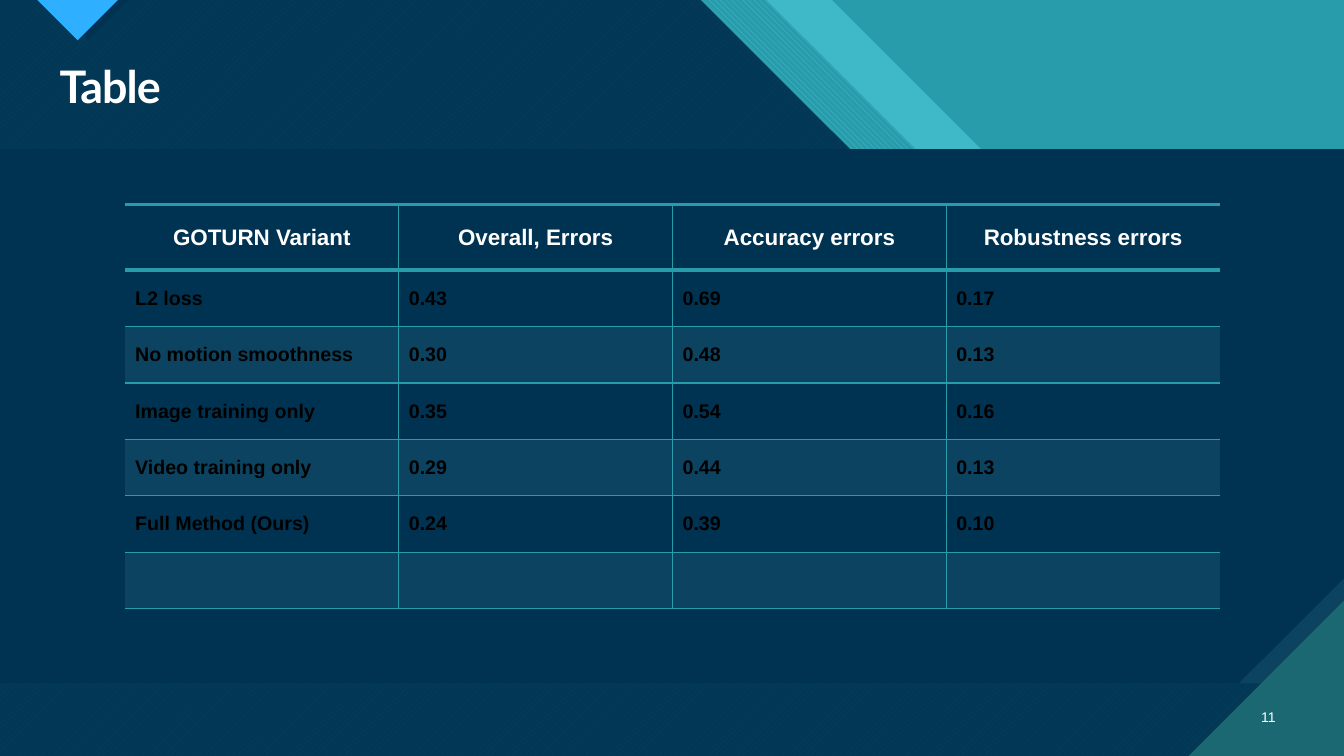
from lxml import etree
from pptx import Presentation
from pptx.dml.color import RGBColor
from pptx.enum.dml import MSO_PATTERN_TYPE as Pattern
from pptx.enum.shapes import MSO_SHAPE as Preset
from pptx.enum.text import MSO_ANCHOR as Anchor, PP_ALIGN as Align
from pptx.oxml.ns import qn
from pptx.util import Inches, Pt

WIDTH, HEIGHT = 13.33, 7.5
NAVY, SLATE, TEAL, AQUA = "003352", "0C4360", "299CAB", "47C3D3"
PINE, SKY, WHITE, BLACK = "1B6872", "2FAFFF", "FFFFFF", "000000"
PLAIN_TABLE_STYLE = "{2D5ABB26-0587-4C30-8999-92F81FD0307C}"

RESULTS = [
    ("GOTURN Variant", "Overall, Errors", "Accuracy errors", "Robustness errors"),
    ("L2 loss", "0.43", "0.69", "0.17"),
    ("No motion smoothness", "0.30", "0.48", "0.13"),
    ("Image training only", "0.35", "0.54", "0.16"),
    ("Video training only", "0.29", "0.44", "0.13"),
    ("Full Method (Ours)", "0.24", "0.39", "0.10"),
    ("", "", "", ""),
]


def rgb(hex_colour):
    return RGBColor.from_string(hex_colour)


class SlideBuilder:
    def __init__(self, slide, font="Arial"):
        self.slide = slide
        self.shapes = slide.shapes
        self.font = font

    def background(self, colour):
        fill = self.slide.background.fill
        fill.solid()
        fill.fore_color.rgb = rgb(colour)

    def paint(self, shape, colour, opacity=100, pattern=None, back=None):
        """Fill a borderless shape with a colour or a two-colour pattern."""
        shape.shadow.inherit = False
        shape.line.fill.background()
        if pattern:
            shape.fill.patterned()
            shape.fill.pattern = pattern
            shape.fill.back_color.rgb = rgb(back)
        else:
            shape.fill.solid()
        shape.fill.fore_color.rgb = rgb(colour)
        if opacity < 100:
            tint = shape.element.spPr.find(".//" + qn("a:srgbClr"))
            etree.SubElement(tint, qn("a:alpha"), val=str(opacity * 1000))

    def preset(self, kind, left, top, width, height, colour):
        shape = self.shapes.add_shape(
            kind, Inches(left), Inches(top), Inches(width), Inches(height))
        self.paint(shape, colour)
        return shape

    def outline(self, points, colour, **style):
        corners = [(Inches(x), Inches(y)) for x, y in points]
        pen = self.shapes.build_freeform(*corners[0])
        pen.add_line_segments(corners[1:], close=True)
        self.paint(pen.convert_to_shape(), colour, **style)

    def slanted_backdrop(self, top_right, colour, **style):
        """Cover the slide left of a 45-degree edge that starts at top_right."""
        rise, ledge = 2.97, 1.2
        step = top_right + rise
        corner = rise + WIDTH - step - ledge
        self.outline([(0, 0), (top_right, 0), (step, rise), (step + ledge, rise),
                      (WIDTH, corner), (WIDTH, HEIGHT), (0, HEIGHT)],
                     colour, **style)

    def run(self, paragraph, text, size, colour, bold=False, font=None):
        run = paragraph.add_run()
        run.text = text
        run.font.name = font or self.font
        run.font.size = Pt(size)
        run.font.bold = bold
        run.font.color.rgb = rgb(colour)
        return run

    def title(self, text, left, top, width, height):
        title = self.shapes.title
        title.element.getparent().append(title.element)  # bring to the front
        title.left, title.top = Inches(left), Inches(top)
        title.width, title.height = Inches(width), Inches(height)
        title.text_frame.vertical_anchor = Anchor.MIDDLE
        paragraph = title.text_frame.paragraphs[0]
        paragraph.alignment = Align.LEFT
        paragraph.line_spacing = 0.9
        run = self.run(paragraph, text, 32, WHITE, bold=True, font="Lato")
        run.font.element.set("spc", "-70") if hasattr(run.font, "element") else \
            run._r.get_or_add_rPr().set("spc", "-70")

    def page_number(self, text, left, top, width, height):
        box = self.shapes.add_textbox(
            Inches(left), Inches(top), Inches(width), Inches(height))
        box.text_frame.word_wrap = True
        box.text_frame.vertical_anchor = Anchor.MIDDLE
        paragraph = box.text_frame.paragraphs[0]
        paragraph.alignment = Align.RIGHT
        self.run(paragraph, text, 10, WHITE)

    def border(self, cell, side, width):
        properties = cell._tc.get_or_add_tcPr()
        line = etree.SubElement(properties, qn("a:ln" + side), w=str(Pt(width)))
        fill = etree.SubElement(line, qn("a:solidFill"))
        etree.SubElement(fill, qn("a:srgbClr"), val=TEAL)

    def table(self, rows, left, top, column_width, header_height, row_height):
        columns = len(rows[0])
        height = header_height + row_height * (len(rows) - 1)
        frame = self.shapes.add_table(
            len(rows), columns, Inches(left), Inches(top),
            Inches(column_width * columns), Inches(height))
        table = frame.table
        table.horz_banding = False
        frame.element.find(".//" + qn("a:tableStyleId")).text = PLAIN_TABLE_STYLE
        for column in table.columns:
            column.width = Inches(column_width)
        for r, values in enumerate(rows):
            header = r == 0
            table.rows[r].height = Inches(header_height if header else row_height)
            for c, value in enumerate(values):
                cell = table.cell(r, c)
                cell.vertical_anchor = Anchor.MIDDLE
                if c > 0:
                    self.border(cell, "L", 1)
                if c < columns - 1:
                    self.border(cell, "R", 1)
                self.border(cell, "T", 3 if r < 2 else 1)
                self.border(cell, "B", 3 if header else 1)
                if r and r % 2 == 0:
                    cell.fill.solid()
                    cell.fill.fore_color.rgb = rgb(SLATE)
                else:
                    cell.fill.background()
                paragraph = cell.text_frame.paragraphs[0]
                paragraph.alignment = Align.CENTER if header else Align.LEFT
                if value:
                    self.run(paragraph, value, 16 if header else 14,
                             WHITE if header else BLACK, bold=True)


def main():
    deck = Presentation()
    deck.slide_width, deck.slide_height = Inches(WIDTH), Inches(HEIGHT)
    page = SlideBuilder(deck.slides.add_slide(deck.slide_layouts[5]))

    page.background(AQUA)
    page.preset(Preset.RECTANGLE, 0, 0, WIDTH, HEIGHT, TEAL)
    page.slanted_backdrop(8.25, AQUA, opacity=74)
    page.slanted_backdrop(7.6, AQUA, pattern=Pattern.WIDE_DOWNWARD_DIAGONAL, back=TEAL)
    page.slanted_backdrop(6.95, AQUA, pattern=Pattern.WIDE_UPWARD_DIAGONAL, back=PINE)
    page.slanted_backdrop(6.95, NAVY, opacity=90)

    for left, colour in ((0.48, NAVY), (0.37, SKY)):
        page.outline([(left, 0), (left + 0.8, 0), (left + 0.4, 0.4)], colour)

    page.preset(Preset.RECTANGLE, 0, 1.48, WIDTH, 5.3, SLATE)
    panel = page.preset(Preset.SNIP_1_RECTANGLE, 0, 1.48, WIDTH, 5.3, NAVY)
    panel.adjustments[0] = 0.197
    panel.element.spPr.xfrm.set("flipV", "1")
    page.outline([(11.79, HEIGHT), (WIDTH, HEIGHT), (WIDTH, 5.96)], PINE)

    page.title("Table", 0.49, 0.59, 12.26, 0.59)
    page.table(RESULTS, 1.24, 2.03, 2.715, 0.65, 0.56)
    page.page_number("11", 12.31, 6.91, 0.44, 0.4)
    deck.save("out.pptx")


if __name__ == "__main__":
    main()
